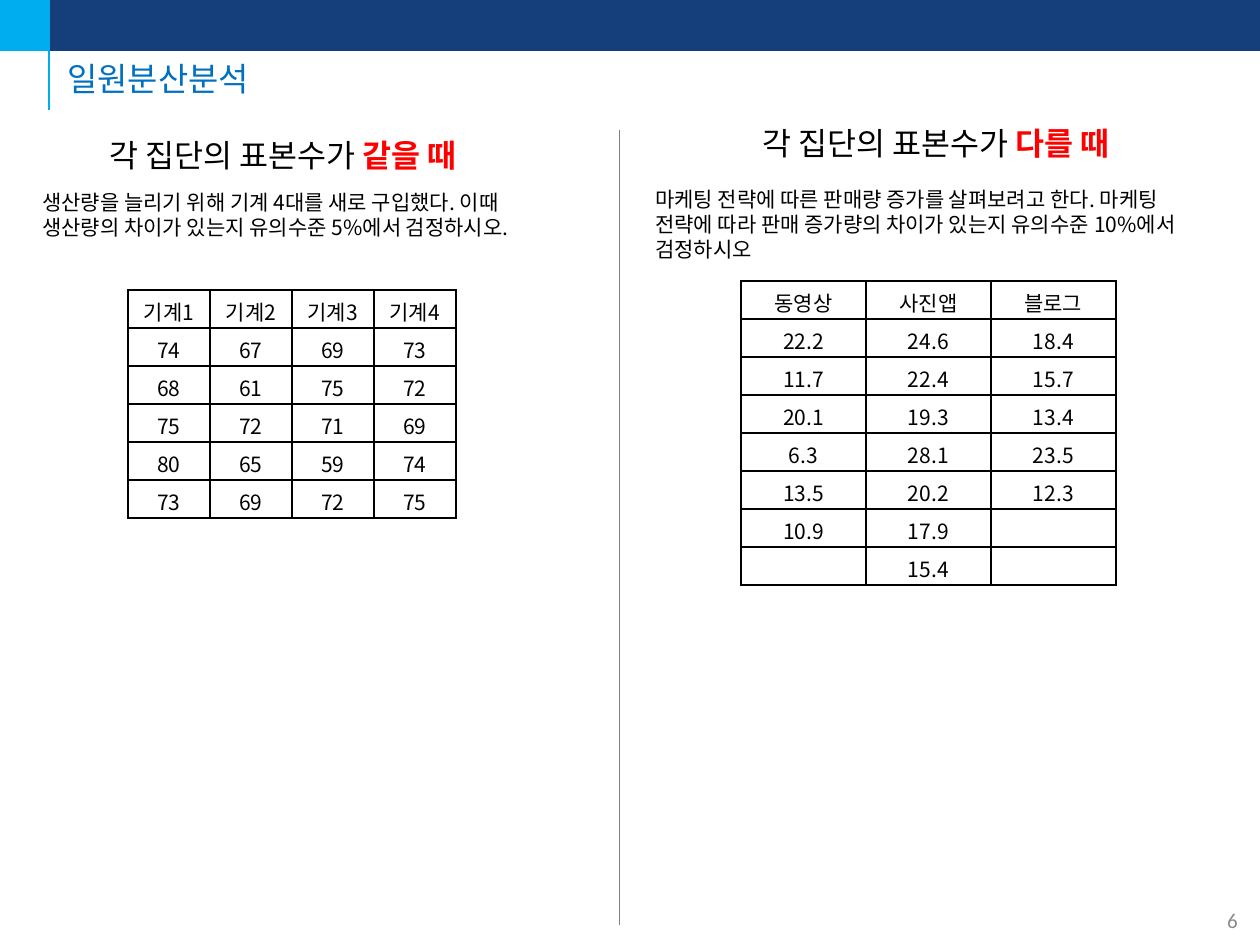
from lxml import etree
from pptx import Presentation
from pptx import util as u
from pptx.dml.color import RGBColor
from pptx.enum import shapes, text
from pptx.oxml.ns import qn

PX = 914400 // 126
COLORS = {"navy": "143F7B", "sky": "00ADEF", "title": "0070C0", "ink": "000000",
          "accent": "FF0000", "divider": "808080", "number": "8C8C8C"}
KOREAN, LATIN = "Noto Sans CJK KR", "Calibri"

TITLE = "일원분산분석"
PAGE_NUMBER = "6"
HEADING = "각 집단의 표본수가 "
ROW_HEIGHT = 38
PANELS = [
    {"emphasis": "같을 때", "heading_at": (97, 130),
     "question": "생산량을 늘리기 위해 기계 4대를 새로 구입했다. 이때 생산량의 차이가 있는지 "
                 "유의수준 5%에서 검정하시오.",
     "question_box": (30, 183, 562, 63),
     "table_at": (128, 290), "column_width": 82,
     "rows": [["기계1", "기계2", "기계3", "기계4"],
              ["74", "67", "69", "73"],
              ["68", "61", "75", "72"],
              ["75", "72", "71", "69"],
              ["80", "65", "59", "74"],
              ["73", "69", "72", "75"]]},
    {"emphasis": "다를 때", "heading_at": (750, 118),
     "question": "마케팅 전략에 따른 판매량 증가를 살펴보려고 한다. 마케팅 전략에 따라 판매 "
                 "증가량의 차이가 있는지 유의수준 10%에서 검정하시오",
     "question_box": (643, 180, 562, 89),
     "table_at": (741, 281), "column_width": 125,
     "rows": [["동영상", "사진앱", "블로그"],
              ["22.2", "24.6", "18.4"],
              ["11.7", "22.4", "15.7"],
              ["20.1", "19.3", "13.4"],
              ["6.3", "28.1", "23.5"],
              ["13.5", "20.2", "12.3"],
              ["10.9", "17.9", ""],
              ["", "15.4", ""]]},
]


def px(*lengths):
    return [u.Emu(length * PX) for length in lengths]


def color(name):
    return RGBColor.from_string(COLORS[name])


def set_font(font, size, color_name, name=KOREAN):
    font.size = u.Pt(size)
    font.color.rgb = color(color_name)
    font.name = name
    latin = font._element.find(qn("a:latin")) if hasattr(font, "_element") else font._rPr.find(qn("a:latin"))
    east_asian = etree.Element(qn("a:ea"), typeface=name)
    latin.addnext(east_asian)


def add_bar(slide, box, color_name):
    shape = slide.shapes.add_shape(shapes.MSO_SHAPE.RECTANGLE, *px(*box))
    shape.shadow.inherit = False
    shape.fill.solid()
    shape.fill.fore_color.rgb = color(color_name)
    shape.line.color.rgb = color(color_name)
    shape.line.width = u.Pt(1)


def add_line(slide, ends, color_name, width):
    connector = slide.shapes.add_connector(shapes.MSO_CONNECTOR.STRAIGHT, *px(*ends))
    connector.line.color.rgb = color(color_name)
    connector.line.width = u.Pt(width)
    etree.SubElement(connector._element.spPr, qn("a:effectLst"))


def add_text(slide, box, runs, size, color_name, name=KOREAN, wrap=True,
             anchor=text.MSO_ANCHOR.TOP, align=text.PP_ALIGN.LEFT):
    frame = slide.shapes.add_textbox(*px(*box)).text_frame
    frame.word_wrap = wrap
    frame.vertical_anchor = anchor
    paragraph = frame.paragraphs[0]
    paragraph.alignment = align
    set_font(paragraph.font, size, color_name, name)
    for words in runs:
        paragraph.add_run().text = words
    return paragraph


def add_borders(cell):
    properties = cell._tc.get_or_add_tcPr()
    for index, side in enumerate(("a:lnL", "a:lnR", "a:lnT", "a:lnB")):
        line = etree.Element(qn(side), w=str(u.Pt(1)))
        fill = etree.SubElement(line, qn("a:solidFill"))
        etree.SubElement(fill, qn("a:srgbClr"), val=COLORS["ink"])
        properties.insert(index, line)


def add_data_table(slide, panel):
    rows, width = panel["rows"], panel["column_width"]
    count = len(rows[0])
    table = slide.shapes.add_table(
        len(rows), count, *px(*panel["table_at"], width * count, ROW_HEIGHT * len(rows))).table
    table.first_row = table.horz_banding = False
    for column in table.columns:
        column.width = px(width)[0]
    for row, values in zip(table.rows, rows):
        row.height = px(ROW_HEIGHT)[0]
        for cell, value in zip(row.cells, values):
            cell.fill.background()
            add_borders(cell)
            paragraph = cell.text_frame.paragraphs[0]
            paragraph.alignment = text.PP_ALIGN.CENTER
            set_font(paragraph.font, 12, "ink")
            if value:
                paragraph.add_run().text = value
            else:
                etree.SubElement(paragraph._p, qn("a:endParaRPr"), sz="1200")


def add_panel(slide, panel):
    heading = add_text(slide, (*panel["heading_at"], 389, 50),
                       [HEADING, panel["emphasis"]], 18, "ink", wrap=False)
    emphasis = heading.runs[1].font
    emphasis.bold = True
    emphasis.color.rgb = color("accent")
    add_text(slide, panel["question_box"], [panel["question"]], 12, "ink")
    add_data_table(slide, panel)


def main():
    presentation = Presentation()
    presentation.slide_width, presentation.slide_height = px(1260, 945)
    slide = presentation.slides.add_slide(presentation.slide_layouts[6])
    add_bar(slide, (0, 0, 1260, 50), "navy")
    add_bar(slide, (0, 0, 48, 50), "sky")
    add_line(slide, (49, 110, 49, 0), "sky", 1.5)
    add_text(slide, (1206, 895, 53, 50), [PAGE_NUMBER], 12, "number", LATIN,
             anchor=text.MSO_ANCHOR.MIDDLE, align=text.PP_ALIGN.CENTER)
    title = add_text(slide, (55, 53, 1222, 55), [TITLE], 18.8, "title",
                     anchor=text.MSO_ANCHOR.MIDDLE)
    title.line_spacing = 0.9
    add_line(slide, (619, 130, 619, 925), "divider", 0.5)
    for panel in PANELS:
        add_panel(slide, panel)
    presentation.save("out.pptx")


if __name__ == "__main__":
    main()
